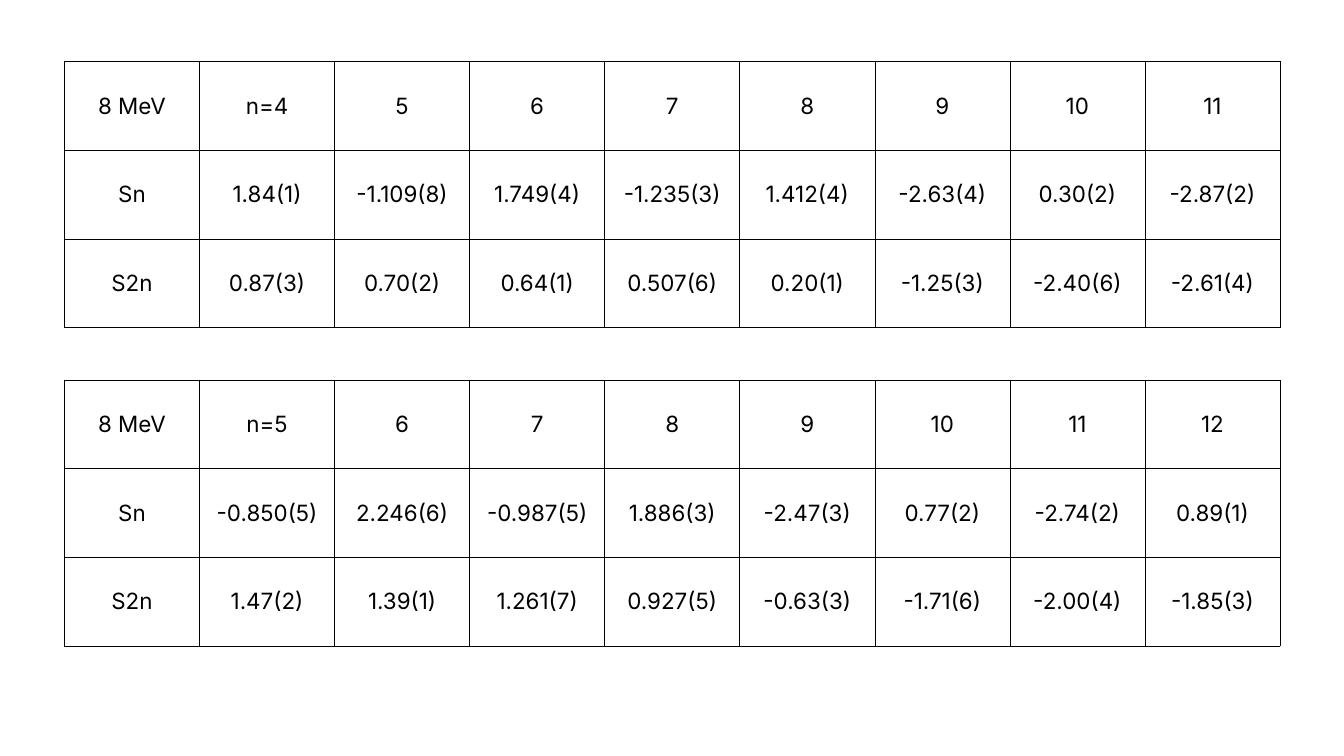
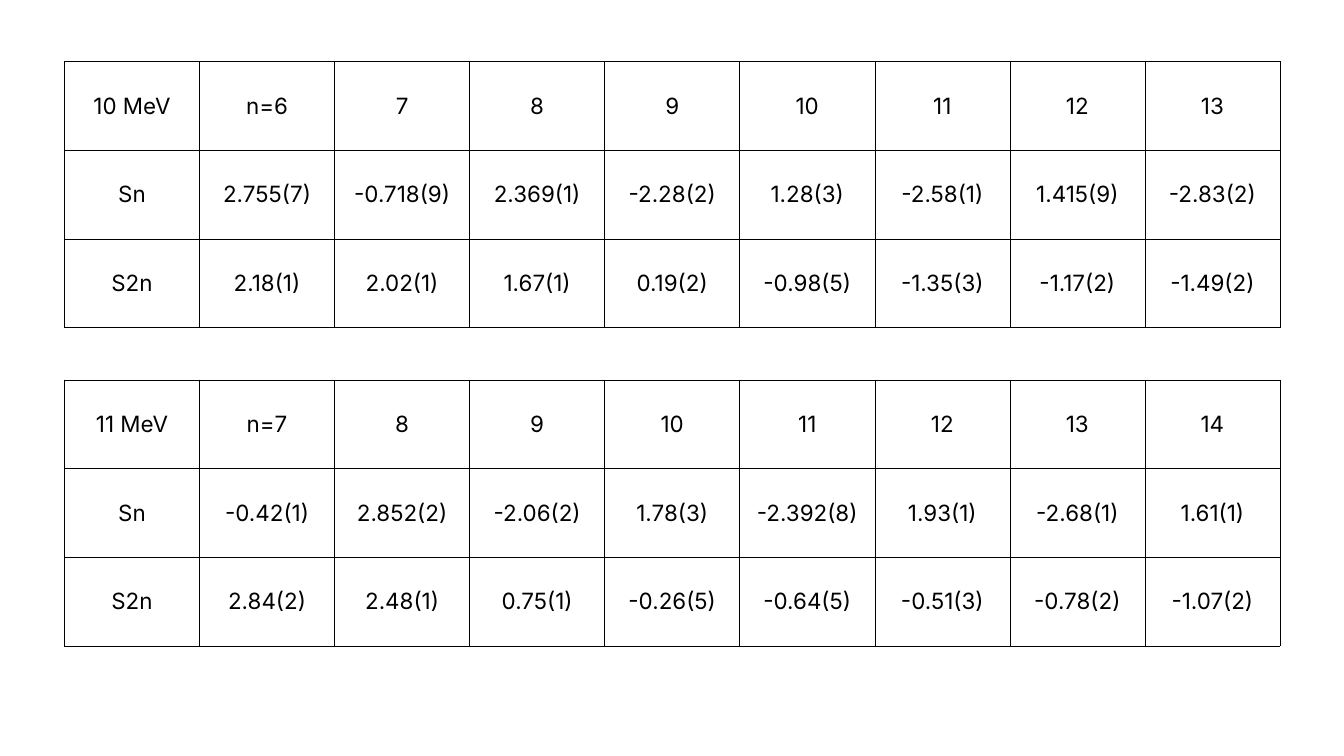
"""Build two slides of neutron separation energy tables."""
from lxml import etree
from pptx import Presentation
from pptx.dml.color import RGBColor
from pptx.enum.text import MSO_ANCHOR, PP_ALIGN
from pptx.oxml.ns import qn
from pptx.util import Inches, Pt

MIDDLE = MSO_ANCHOR.MIDDLE
CENTER = PP_ALIGN.CENTER

COLORS = {"paper": "FFFFFF", "ink": "000000"}
FONT = {"name": "Inter", "size": Pt(32)}
INSET = Inches(0.06)
CELL = {"vertical_anchor": MIDDLE, "margin_left": INSET, "margin_right": INSET,
        "margin_top": INSET, "margin_bottom": INSET}
PLAIN = {"first_row": False, "horz_banding": False}

LEFT, TOP = 1.28, 1.22
TABLE_STEP = 6.32
COL_W, ROW_H = 2.68, 1.76
BORDER = Pt(1)
BLANK_LAYOUT = 6

SLIDES = [
    [
        ("8 MeV", 4,
         "1.84(1) -1.109(8) 1.749(4) -1.235(3) 1.412(4) -2.63(4) 0.30(2) -2.87(2)",
         "0.87(3) 0.70(2) 0.64(1) 0.507(6) 0.20(1) -1.25(3) -2.40(6) -2.61(4)"),
        ("8 MeV", 5,
         "-0.850(5) 2.246(6) -0.987(5) 1.886(3) -2.47(3) 0.77(2) -2.74(2) 0.89(1)",
         "1.47(2) 1.39(1) 1.261(7) 0.927(5) -0.63(3) -1.71(6) -2.00(4) -1.85(3)"),
    ],
    [
        ("10 MeV", 6,
         "2.755(7) -0.718(9) 2.369(1) -2.28(2) 1.28(3) -2.58(1) 1.415(9) -2.83(2)",
         "2.18(1) 2.02(1) 1.67(1) 0.19(2) -0.98(5) -1.35(3) -1.17(2) -1.49(2)"),
        ("11 MeV", 7,
         "-0.42(1) 2.852(2) -2.06(2) 1.78(3) -2.392(8) 1.93(1) -2.68(1) 1.61(1)",
         "2.84(2) 2.48(1) 0.75(1) -0.26(5) -0.64(5) -0.51(3) -0.78(2) -1.07(2)"),
    ],
]


def set_attrs(obj, values):
    """Set each attribute of obj named in values."""
    for name, value in values.items():
        setattr(obj, name, value)


def table_rows(energy, first_n, sn, s2n):
    """Return the header row and the two rows of separation energies."""
    sn, s2n = sn.split(), s2n.split()
    counts = [str(first_n + i) for i in range(len(sn))]
    counts[0] = f"n={first_n}"
    return [[energy, *counts], ["Sn", *sn], ["S2n", *s2n]]


def add_borders(cell):
    """Draw a solid line on all four sides of a cell."""
    tc_pr = cell._tc.get_or_add_tcPr()
    for side in ("a:lnL", "a:lnR", "a:lnT", "a:lnB"):
        ln = etree.SubElement(tc_pr, qn(side), w=str(BORDER))
        fill = etree.SubElement(ln, qn("a:solidFill"))
        etree.SubElement(fill, qn("a:srgbClr"), val=COLORS["ink"])


def fill_cell(cell, text):
    """Write centred text in an unfilled, bordered cell."""
    set_attrs(cell, CELL)
    add_borders(cell)
    cell.fill.background()
    p = cell.text_frame.paragraphs[0]
    p.alignment = CENTER
    r = p.add_run()
    r.text = text
    set_attrs(r.font, FONT)
    r.font.color.rgb = RGBColor.from_string(COLORS["ink"])


def add_energy_table(s, top, rows):
    """Add one table with equal columns and rows."""
    n_rows, n_cols = len(rows), len(rows[0])
    table = s.shapes.add_table(n_rows, n_cols, Inches(LEFT), Inches(top),
                               Inches(n_cols * COL_W), Inches(n_rows * ROW_H)).table
    set_attrs(table, PLAIN)
    for col in table.columns:
        col.width = Inches(COL_W)
    for row, texts in zip(table.rows, rows):
        row.height = Inches(ROW_H)
        for cell, text in zip(row.cells, texts):
            fill_cell(cell, text)


def main():
    """Build and save the presentation."""
    prs = Presentation()
    set_attrs(prs, {"slide_width": Inches(26.67), "slide_height": Inches(15)})
    bg = prs.slide_master.background.fill
    bg.solid()
    bg.fore_color.rgb = RGBColor.from_string(COLORS["paper"])
    for tables in SLIDES:
        s = prs.slides.add_slide(prs.slide_layouts[BLANK_LAYOUT])
        for i, data in enumerate(tables):
            add_energy_table(s, TOP + i * TABLE_STEP, table_rows(*data))
    prs.save("out.pptx")


main()
